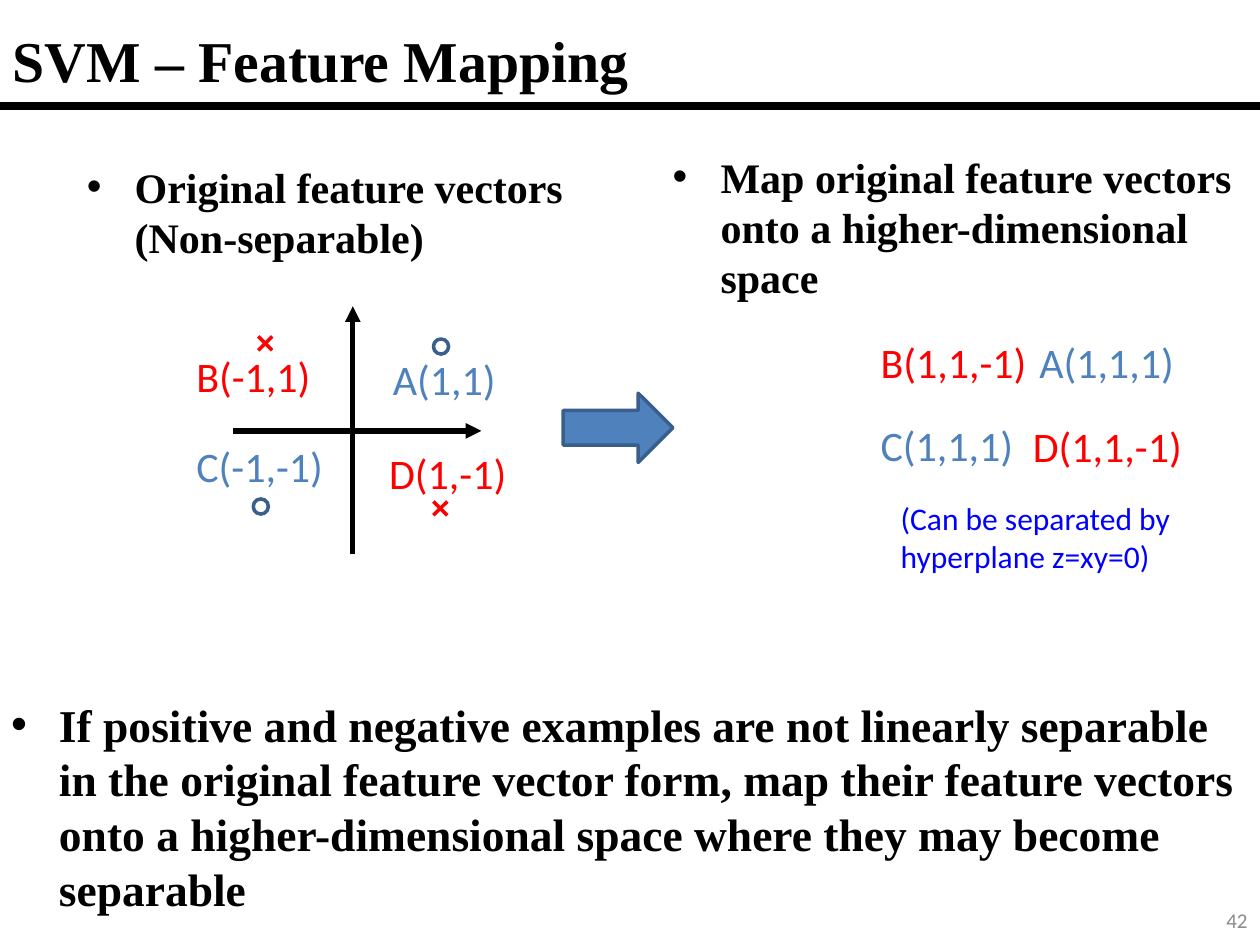
from lxml import etree
from pptx import Presentation
from pptx import util as u
from pptx.dml.color import RGBColor
from pptx.enum import shapes, text
from pptx.oxml.ns import qn

BLACK, BLUE, RED = "000000", "4F81BD", "FF0000"
OUTLINE, NOTE, GRAY = "3A5F8C", "0000FF", "8C8C8C"
SERIF, SANS = "Times New Roman", "Calibri"


def colour(value):
    return RGBColor.from_string(value)


class SlideBuilder:
    def __init__(self, page):
        self.page = page

    def text(self, at, words, size, ink=BLACK, font=SANS, bold=False,
             bullet=False, middle=False, right=False):
        box = self.page.shapes.add_textbox(*map(u.Inches, at))
        frame = box.text_frame
        frame.word_wrap = True
        if middle:
            frame.vertical_anchor = text.MSO_ANCHOR.MIDDLE
        para = frame.paragraphs[0]
        if right:
            para.alignment = text.PP_ALIGN.RIGHT
        if bullet:
            para.line_spacing = u.Pt(round(size * 1.2, 1))
            self.bullet(para)
        span = para.add_run()
        span.text = words
        span.font.name = font
        span.font.size = u.Pt(size)
        span.font.bold = bold
        span.font.color.rgb = colour(ink)

    def bullet(self, para, indent=0.38):
        props = para._p.get_or_add_pPr()
        props.set("marL", str(u.Inches(indent)))
        props.set("indent", str(-u.Inches(indent)))
        etree.SubElement(props, qn("a:buFont")).set("typeface", "Arial")
        etree.SubElement(props, qn("a:buChar")).set("char", "•")

    def line(self, start, end, ink, width, arrow=False):
        line = self.page.shapes.add_connector(
            shapes.MSO_CONNECTOR.STRAIGHT, *map(u.Inches, start + end))
        line.line.color.rgb = colour(ink)
        line.line.width = u.Pt(width)
        if arrow:
            tail = etree.SubElement(line.line._get_or_add_ln(), qn("a:tailEnd"))
            tail.set("type", "triangle")
        etree.SubElement(line._element.spPr, qn("a:effectLst"))

    def shape(self, kind, at, fill=None):
        shape = self.page.shapes.add_shape(kind, *map(u.Inches, at))
        shape.shadow.inherit = False
        if fill:
            shape.fill.solid()
            shape.fill.fore_color.rgb = colour(fill)
        else:
            shape.fill.background()
        shape.line.color.rgb = colour(OUTLINE)
        shape.line.width = u.Pt(2)

    def circle(self, left, top, size=0.12):
        self.shape(shapes.MSO_SHAPE.OVAL, (left, top, size, size))

    def cross(self, left, top, size=0.11):
        right, bottom = left + size, top + size
        self.line((left, top), (right, bottom), RED, 2)
        self.line((right, top), (left, bottom), RED, 2)


def main():
    deck = Presentation()
    deck.slide_width, deck.slide_height = u.Inches(10), u.Inches(7.5)
    builder = SlideBuilder(deck.slides.add_slide(deck.slide_layouts[6]))

    # Title and rule
    builder.text((0, 0.08, 9.99, 0.79), "SVM – Feature Mapping", 33,
                 font=SERIF, bold=True, middle=True)
    builder.line((0, 0.84), (10, 0.84), BLACK, 4.5)

    # Bulleted statements
    for at, words, size in (
        ((0.59, 1.23, 4.09, 0.91),
         "Original feature vectors (Non-separable)", 24),
        ((5.24, 1.15, 4.65, 1.31),
         "Map original feature vectors onto a higher-dimensional space", 24),
        ((-0.01, 5.48, 10, 1.85),
         "If positive and negative examples are not linearly separable in the "
         "original feature vector form, map their feature vectors onto a "
         "higher-dimensional space where they may become separable", 26),
    ):
        builder.text(at, words, size, font=SERIF, bold=True, bullet=True)

    # Axes and point markers
    builder.line((1.85, 3.42), (3.82, 3.42), BLACK, 3, arrow=True)
    builder.line((2.8, 4.4), (2.8, 2.43), BLACK, 3, arrow=True)
    builder.circle(3.44, 2.69)
    builder.circle(2.01, 3.96)
    builder.cross(2.05, 2.67)
    builder.cross(3.44, 3.98)

    # Point labels, before and after mapping
    for left, top, width, words, ink in (
        (3.02, 2.76, 1.05, "A(1,1)", BLUE),
        (1.46, 2.73, 1.2, "B(-1,1)", RED),
        (1.46, 3.45, 1.31, "C(-1,-1)", BLUE),
        (2.99, 3.5, 1.38, "D(1,-1)", RED),
        (8.15, 2.62, 1.57, "A(1,1,1)", BLUE),
        (6.89, 2.62, 1.83, "B(1,1,-1)", RED),
        (6.89, 3.28, 1.26, "C(1,1,1)", BLUE),
        (8.1, 3.29, 1.57, "D(1,1,-1)", RED),
    ):
        builder.text((left, top, width, 0.5), words, 24, ink)

    # Mapping arrow and remark
    builder.shape(shapes.MSO_SHAPE.RIGHT_ARROW, (4.47, 3.12, 0.87, 0.55), BLUE)
    builder.text((7.05, 3.91, 2.44, 0.71),
                 "(Can be separated by hyperplane z=xy=0)", 18, NOTE)

    # Page number
    builder.text((7.75, 7.1, 2.25, 0.4), "42", 12, GRAY,
                 middle=True, right=True)

    deck.save("out.pptx")


if __name__ == "__main__":
    main()
